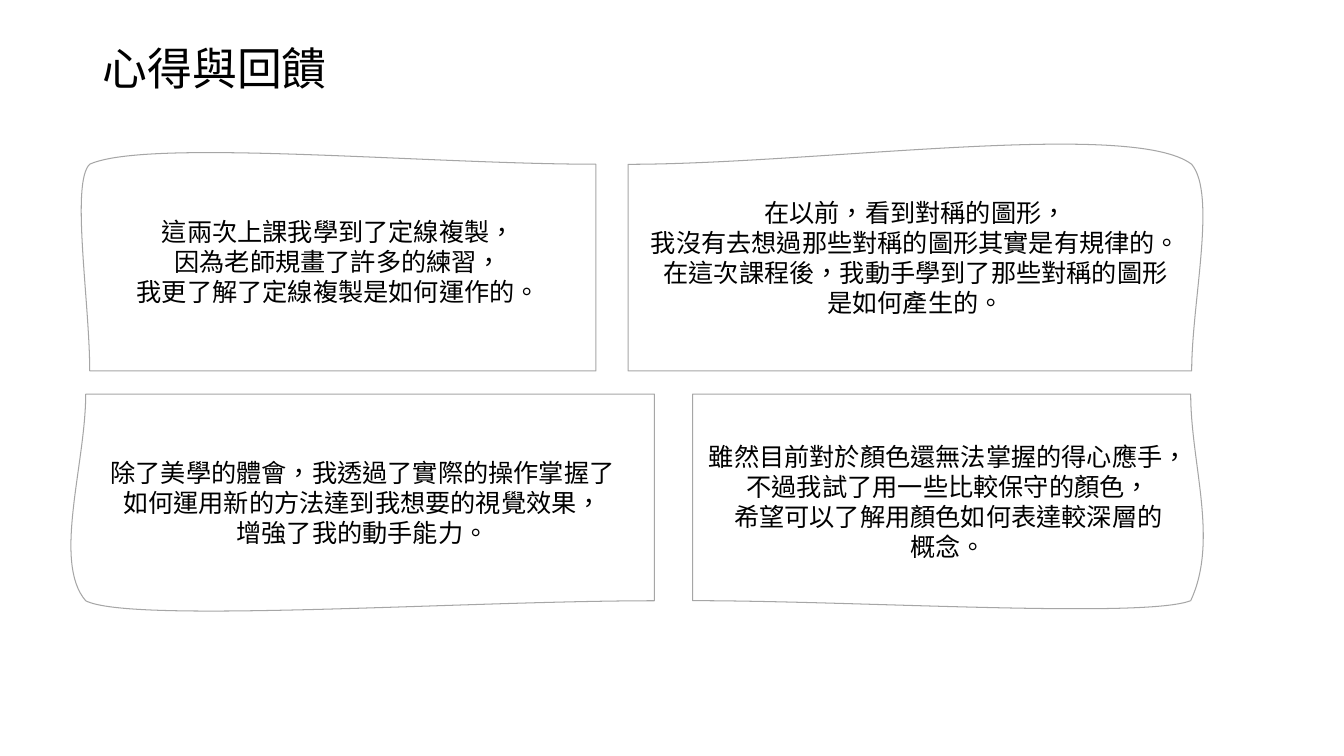
from lxml.etree import SubElement
from pptx import Presentation
from pptx.dml.color import RGBColor
from pptx.enum.text import MSO_ANCHOR as Anchor, PP_ALIGN as Align
from pptx.oxml.ns import qn
from pptx.util import Pt

PX = 9144
SLIDE = (1333, 750)
FONT = "Noto Sans CJK SC"
LANGUAGE = "zh-TW"
COLORS = {"text": "000000", "outline": "A6A6A6"}

TITLE = "心得與回饋"
TITLE_BOX = (92, 39, 1150, 62)

REFLECTIONS = [
    {
        "lines": ["這兩次上課我學到了定線複製，",
                  "因為老師規畫了許多的練習，",
                  "我更了解了定線複製是如何運作的。"],
        "box": (80, 151, 511, 217),
        "start": (89, 163),
        "edges": [[(146, 137), (424, 163), (591, 163)],
                  [(591, 368)],
                  [(89, 368)],
                  [(89, 300), (70, 181), (89, 163)]],
    },
    {
        "lines": ["除了美學的體會，我透過了實際的操作掌握了",
                  "如何運用新的方法達到我想要的視覺效果，",
                  "增強了我的動手能力。"],
        "box": (70, 391, 579, 215),
        "start": (85, 391),
        "edges": [[(649, 391)],
                  [(649, 596)],
                  [(461, 596), (129, 619), (85, 596)],
                  [(52, 558), (85, 460), (85, 391)]],
    },
    {
        "lines": ["在以前，看到對稱的圖形，",
                  "我沒有去想過那些對稱的圖形其實是有規律的。",
                  "在這次課程後，我動手學到了那些對稱的圖形",
                  "是如何產生的。"],
        "box": (623, 143, 570, 225),
        "start": (623, 163),
        "edges": [[(809, 163), (1123, 118), (1182, 163)],
                  [(1207, 193), (1182, 300), (1182, 368)],
                  [(623, 368)],
                  [(623, 163)]],
    },
    {
        "lines": ["雖然目前對於顏色還無法掌握的得心應手，",
                  "不過我試了用一些比較保守的顏色，",
                  "希望可以了解用顏色如何表達較深層的",
                  "概念。"],
        "box": (687, 391, 507, 213),
        "start": (687, 391),
        "edges": [[(1181, 391)],
                  [(1181, 460), (1209, 536), (1181, 596)],
                  [(1135, 614), (851, 596), (687, 596)],
                  [(687, 391)]],
    },
]


def color(name):
    return RGBColor.from_string(COLORS[name])


def write(frame, lines, size, align, spacing, wrap):
    frame.word_wrap = wrap
    frame.vertical_anchor = Anchor.MIDDLE
    for i, line in enumerate(lines):
        paragraph = frame.add_paragraph() if i else frame.paragraphs[0]
        paragraph.text = line
        paragraph.alignment = align
        paragraph.line_spacing = spacing
        font = paragraph.font
        font.size = Pt(size)
        font.color.rgb = color("text")
        font.name = FONT
        defaults = paragraph._p.pPr.find(qn("a:defRPr"))
        SubElement(defaults, qn("a:ea")).set("typeface", FONT)
        for run in paragraph.runs:
            run._r.get_or_add_rPr().set("lang", LANGUAGE)


def draw_outline(outline, box, start, edges):
    left, top = box[:2]
    for step in list(outline):
        outline.remove(step)
    for i, points in enumerate([[start], *edges]):
        kind = "cubicBezTo" if len(points) == 3 else "lnTo" if i else "moveTo"
        step = SubElement(outline, qn(f"a:{kind}"))
        for x, y in points:
            corner = SubElement(step, qn("a:pt"))
            corner.set("x", str(x - left))
            corner.set("y", str(y - top))
    SubElement(outline, qn("a:close"))


def add_reflection(shapes, reflection):
    left, top, width, height = box = reflection["box"]
    builder = shapes.build_freeform(left, top, scale=PX)
    builder.add_line_segments([(left + width, top + height)])
    panel = builder.convert_to_shape()
    outline = next(panel._element.iter(qn("a:path")))
    draw_outline(outline, box, reflection["start"], reflection["edges"])
    panel.shadow.inherit = False
    panel.fill.background()
    panel.line.color.rgb = color("outline")
    panel.line.width = Pt(0.75)
    write(panel.text_frame, reflection["lines"], 18, Align.CENTER, Pt(21.5), False)


def main():
    deck = Presentation()
    deck.slide_width, deck.slide_height = (side * PX for side in SLIDE)
    shapes = deck.slides.add_slide(deck.slide_layouts[6]).shapes
    heading = shapes.add_textbox(*(side * PX for side in TITLE_BOX))
    write(heading.text_frame, [TITLE], 32, Align.LEFT, 0.9, True)
    for reflection in REFLECTIONS:
        add_reflection(shapes, reflection)
    deck.save("out.pptx")


if __name__ == "__main__":
    main()
